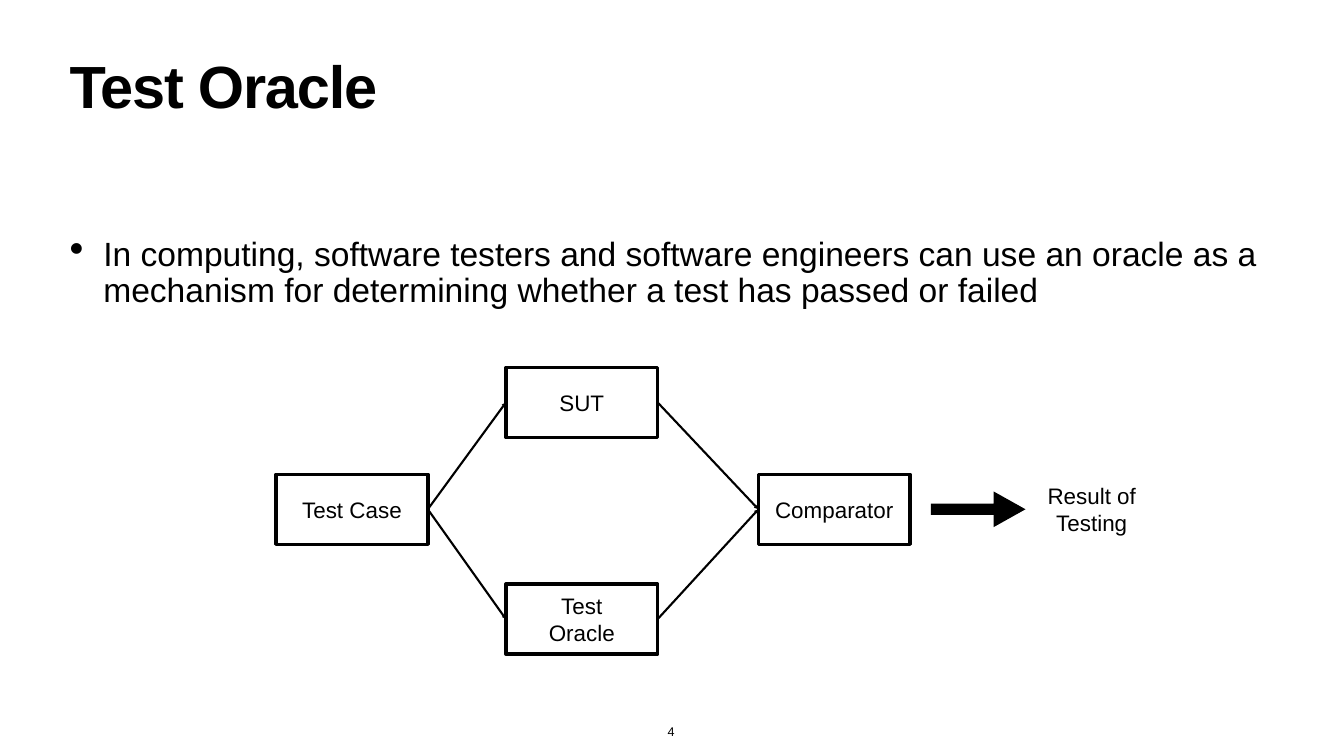
from lxml import etree
from pptx import Presentation
from pptx.dml.color import RGBColor
from pptx.enum.shapes import MSO_CONNECTOR, MSO_SHAPE
from pptx.enum.text import MSO_ANCHOR, PP_ALIGN
from pptx.oxml.ns import qn
from pptx.util import Inches, Pt

COLORS = {"ink": "000000", "paper": "FFFFFF"}
FONT = "Arial"
INSET = 0.06
NODE_W, NODE_H = 3.01, 1.39
LEFT, RIGHT = 1, 3  # connection sites


def rgb(name):
    return RGBColor.from_string(COLORS[name])


def set_text(sp, lines, size, align=PP_ALIGN.LEFT, anchor=MSO_ANCHOR.TOP, wrap=True, bold=False):
    tf = sp.text_frame
    frame = {"word_wrap": wrap, "vertical_anchor": anchor}
    for side in ("left", "top", "right", "bottom"):
        frame[f"margin_{side}"] = Inches(INSET)
    for name, value in frame.items():
        setattr(tf, name, value)
    for i, line in enumerate(lines):
        p = tf.paragraphs[0] if i == 0 else tf.add_paragraph()
        p.alignment = align
        r = p.add_run()
        r.text = line
        for name, value in {"name": FONT, "size": Pt(size), "bold": bold}.items():
            setattr(r.font, name, value)
        r.font.color.rgb = rgb("ink")
    return tf


def add_text(shapes, box, lines, size, **options):
    sp = shapes.add_textbox(*map(Inches, box))
    return set_text(sp, lines, size, **options)


def add_title(slide, box):
    p = add_text(slide.shapes, box, ["Test Oracle"], 85, bold=True).paragraphs[0]
    p.line_spacing = 0.8
    p.runs[0].font._element.set("spc", "-170")


def add_body(slide, box):
    text = ("In computing, software testers and software engineers can use an oracle "
            "as a mechanism for determining whether a test has passed or failed")
    p = add_text(slide.shapes, box, [text], 48).paragraphs[0]
    p.line_spacing = 0.9
    pPr = p._p.get_or_add_pPr()
    pPr.set("marL", str(Inches(0.67)))
    pPr.set("indent", str(-Inches(0.67)))
    etree.SubElement(pPr, qn("a:buSzPct"), val="123000")
    etree.SubElement(pPr, qn("a:buChar"), char="•")


def add_node(shapes, x, y, lines):
    sp = shapes.add_shape(MSO_SHAPE.RECTANGLE, *map(Inches, (x, y, NODE_W, NODE_H)))
    sp.shadow.inherit = False
    sp.fill.background()
    sp.line.color.rgb = rgb("ink")
    sp.line.width = Pt(5)
    set_text(sp, lines, 32, align=PP_ALIGN.CENTER, anchor=MSO_ANCHOR.MIDDLE)
    return sp


def join(shapes, source, target):
    """Draw an arrow from the right side of source to the left side of target."""
    line = shapes.add_connector(MSO_CONNECTOR.STRAIGHT, 0, 0, 0, 0)
    line.begin_connect(source, RIGHT)
    line.end_connect(target, LEFT)
    line.line.color.rgb = rgb("ink")
    line.line.width = Pt(3)
    etree.SubElement(line.line._get_or_add_ln(), qn("a:tailEnd"), type="triangle", w="sm", len="sm")
    etree.SubElement(line._element.spPr, qn("a:effectLst"))


def add_result_arrow(shapes, box):
    sp = shapes.add_shape(MSO_SHAPE.RIGHT_ARROW, *map(Inches, box))
    sp.shadow.inherit = False
    sp.adjustments[0], sp.adjustments[1] = 0.32, 0.894
    sp.fill.solid()
    sp.fill.fore_color.rgb = rgb("ink")
    sp.line.fill.background()


def add_diagram(slide, left, top):
    shapes = slide.shapes.add_group_shape().shapes
    middle = top + 2.12
    case = add_node(shapes, left, middle, ["Test Case"])
    sut = add_node(shapes, left + 4.56, top, ["SUT"])
    oracle = add_node(shapes, left + 4.56, top + 4.3, ["Test", "Oracle"])
    comparator = add_node(shapes, left + 9.57, middle, ["Comparator"])
    for step in (sut, oracle):
        join(shapes, case, step)
        join(shapes, step, comparator)
    add_result_arrow(shapes, (left + 12.99, middle + 0.34, 1.88, 0.71))
    add_text(shapes, (left + 14.68, middle, NODE_W, NODE_H), ["Result of Testing"], 32,
             align=PP_ALIGN.CENTER, anchor=MSO_ANCHOR.MIDDLE)


def add_page_number(slide, box):
    add_text(slide.shapes, box, ["4"], 18, align=PP_ALIGN.CENTER,
             anchor=MSO_ANCHOR.BOTTOM, wrap=False)


def main():
    prs = Presentation()
    prs.slide_width, prs.slide_height = Inches(26.67), Inches(15)
    slide = prs.slides.add_slide(prs.slide_layouts[6])
    slide.background.fill.solid()
    slide.background.fill.fore_color.rgb = rgb("paper")
    add_title(slide, (1.32, 1.18, 24.03, 1.57))
    add_body(slide, (1.32, 4.65, 24.03, 9.03))
    add_page_number(slide, (13.19, 14.31, 0.26, 0.41))
    add_diagram(slide, 5.48, 7.29)
    prs.save("out.pptx")


if __name__ == "__main__":
    main()
